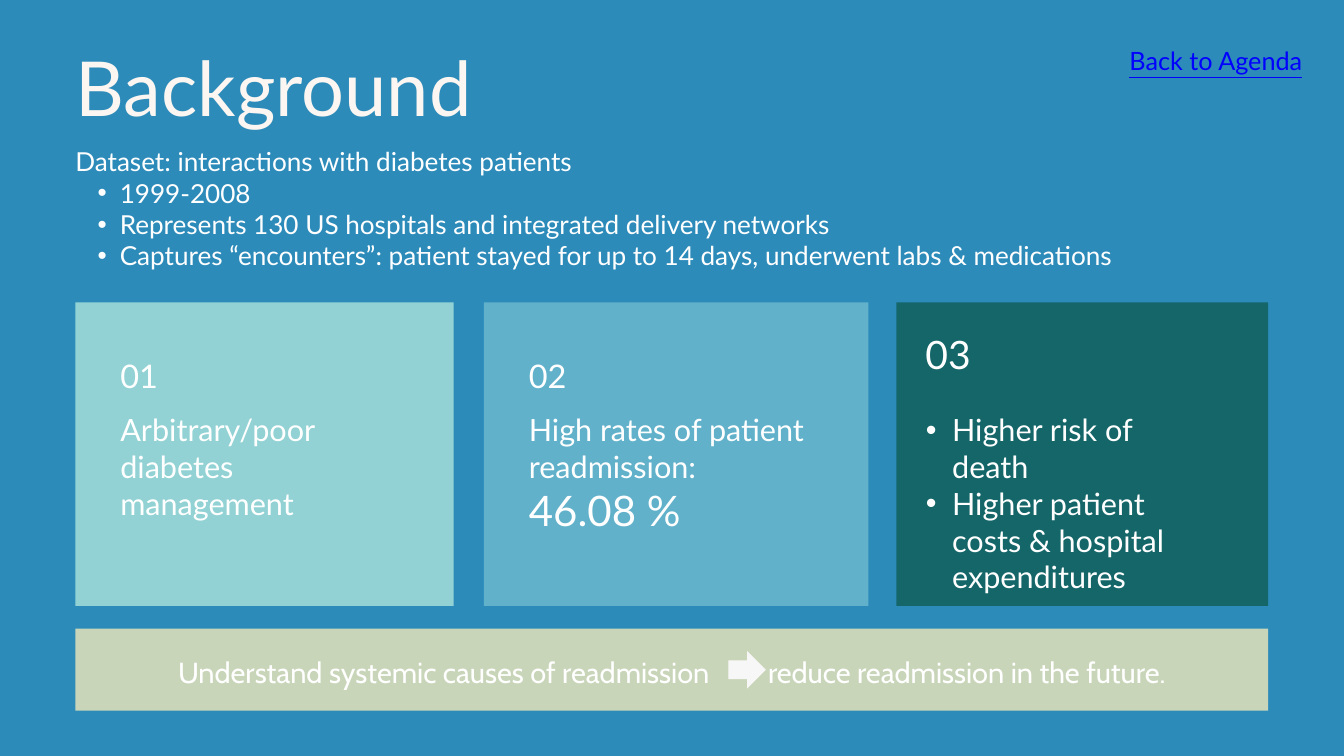
"""Build the Background slide on diabetes readmissions."""
from lxml.etree import SubElement
from pptx import Presentation
from pptx.dml.color import RGBColor
from pptx.enum.shapes import MSO_SHAPE
from pptx.enum.text import PP_ALIGN
from pptx.oxml.ns import qn
from pptx.util import Cm, Pt


def add_block(kind, left, top, width, height, color):
    block = slide.shapes.add_shape(kind, Cm(left), Cm(top), Cm(width), Cm(height))
    block.shadow.inherit = False
    block.fill.solid()
    block.fill.fore_color.rgb = RGBColor.from_string(color)
    block.line.fill.background()


def add_text(left, top, width, height, lines, color="FFFFFF", font="Lato",
             leading=1.2, align=PP_ALIGN.LEFT, hanging=0.99, tab=None):
    frame = slide.shapes.add_textbox(Cm(left), Cm(top), Cm(width), Cm(height)).text_frame
    frame.word_wrap = True
    frame.margin_left = frame.margin_right = frame.margin_top = frame.margin_bottom = 0
    for index, (text, size, bulleted) in enumerate(lines):
        paragraph = frame.add_paragraph() if index else frame.paragraphs[0]
        paragraph.text = text
        properties = paragraph._p.get_or_add_pPr()
        if bulleted:
            paragraph.level = 1
            properties.set("marL", str(Cm(2 * hanging)))
            properties.set("indent", str(-Cm(hanging)))
            SubElement(properties, qn("a:buFont"), typeface="Arial")
            SubElement(properties, qn("a:buChar"), char="•")
        if tab:
            stops = SubElement(properties, qn("a:tabLst"))
            SubElement(stops, qn("a:tab"), pos=str(Cm(tab)), algn="l")
        paragraph.alignment = align
        paragraph.line_spacing = Pt(round(leading * size, 1))
        paragraph.font.name = font
        paragraph.font.size = Pt(size)
        paragraph.font.color.rgb = RGBColor.from_string(color)
    return frame


presentation = Presentation()
presentation.slide_width = Cm(50.8)
presentation.slide_height = Cm(28.58)
slide = presentation.slides.add_slide(presentation.slide_layouts[6])
slide.background.fill.solid()
slide.background.fill.fore_color.rgb = RGBColor.from_string("2D8BBA")

add_text(2.85, 1.55, 25.8, 3.43, [("Background", 81.2, False)], color="FBF6F1")
agenda = add_text(37.41, 1.63, 11.81, 1.22, [("Back to Agenda", 27, False)],
                  color="0000FF", leading=1.3, align=PP_ALIGN.RIGHT)
agenda.paragraphs[0].font.underline = True

dataset = [
    ("Dataset: interactions with diabetes patients", 28, False),
    ("1999-2008", 28, True),
    ("Represents 130 US hospitals and integrated delivery networks", 28, True),
    ("Captures “encounters”: patient stayed for up to 14 days, "
     "underwent labs & medications", 28, True),
]
add_text(2.85, 5.51, 45.08, 4.62, dataset, hanging=0.84)

cards = [
    (2.85, 14.3, "92D2D4", ("01", 34.8, 4.55, 13.45), (4.55, 8.33),
     [("Arbitrary/poor diabetes management", 32.8, False)]),
    (18.29, 14.53, "61B1CB", ("02", 34.8, 19.99, 13.46), (19.99, 11.05),
     [("High rates of patient readmission:", 32.8, False), ("46.08 %", 45, False)]),
    (33.88, 14.05, "156669", ("03", 41.9, 34.98, 12.5), (34.01, 11.96),
     [("Higher risk of death", 32.8, True),
      ("Higher patient costs & hospital expenditures", 32.8, True)]),
]
for left, width, color, number, (body_left, body_width), body in cards:
    add_block(MSO_SHAPE.RECTANGLE, left, 11.43, width, 11.48, color)
    label, size, number_left, number_top = number
    add_text(number_left, number_top, 10.5, 1.5, [(label, size, False)])
    add_text(body_left, 15.54, body_width, 4.6, body)

add_block(MSO_SHAPE.RECTANGLE, 2.85, 23.77, 45.08, 3.1, "C8D5B9")
add_block(MSO_SHAPE.RIGHT_ARROW, 27.53, 24.61, 1.42, 1.42, "F8F7F7")
goal = "Understand systemic causes of readmission\treduce readmission in the future."
add_text(6.73, 24.51, 39, 1.45, [(goal, 31, False)], font="Cabin", leading=1.4, tab=22.3)

presentation.save("out.pptx")
